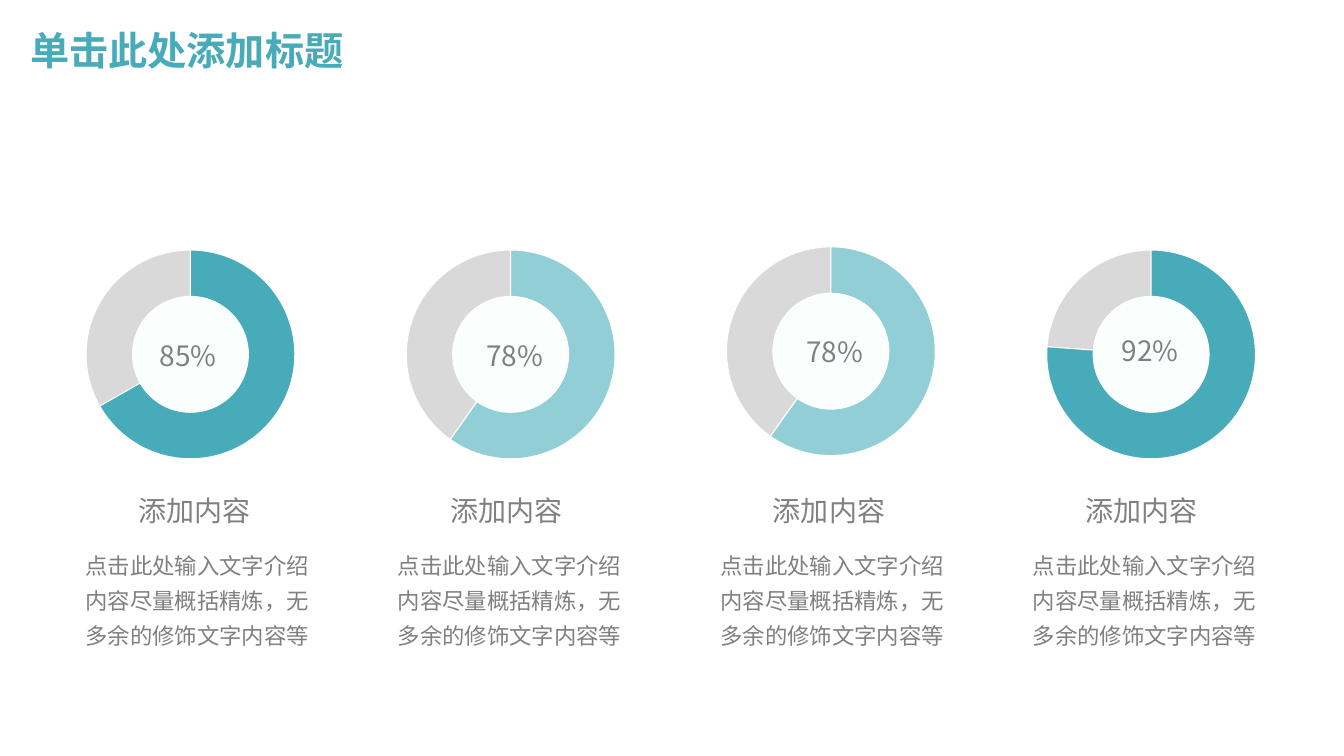
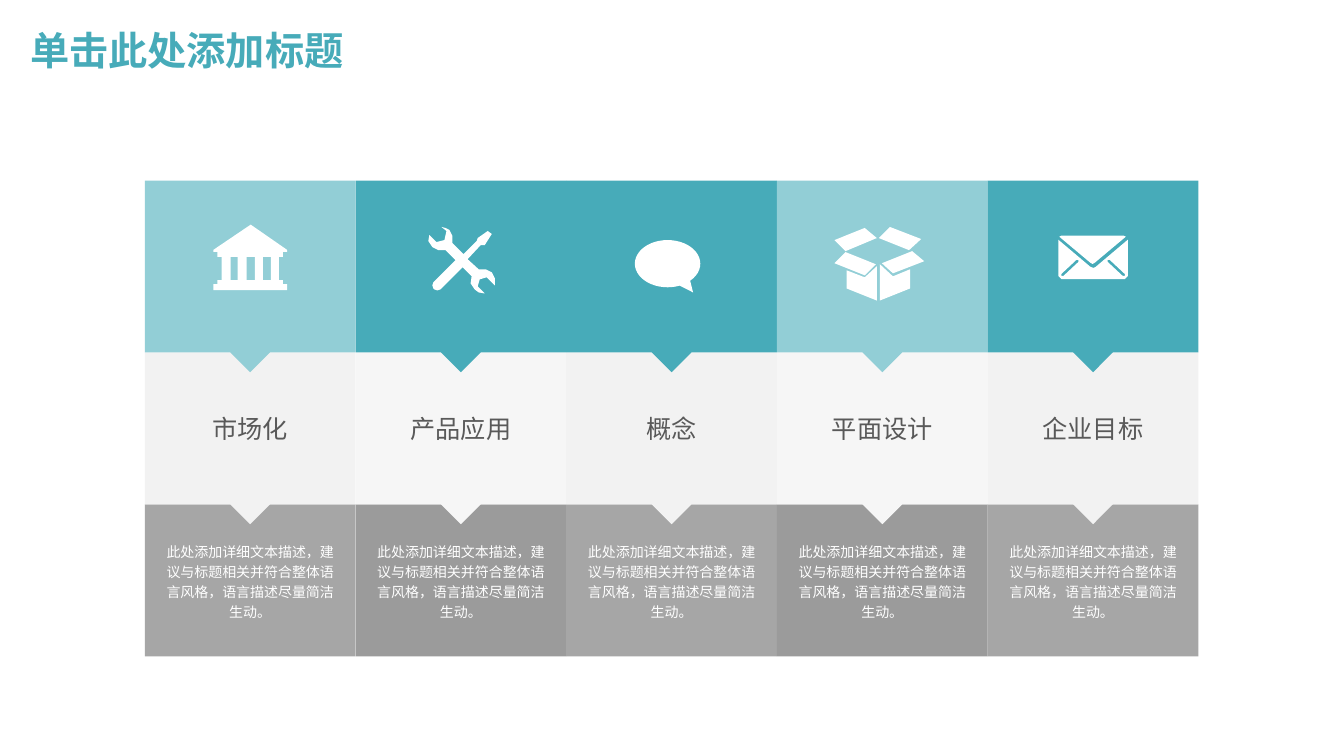
from dataclasses import dataclass

from lxml import etree
from pptx import Presentation
from pptx.dml.color import RGBColor
from pptx.enum.shapes import MSO_SHAPE
from pptx.enum.text import MSO_ANCHOR, MSO_AUTO_SIZE, PP_ALIGN
from pptx.oxml.ns import qn
from pptx.util import Cm, Pt

RECTANGLE, OVAL = MSO_SHAPE.RECTANGLE, MSO_SHAPE.OVAL
PIE, BUBBLE = MSO_SHAPE.PIE, MSO_SHAPE.OVAL_CALLOUT
MIDDLE = MSO_ANCHOR.MIDDLE
LEFT, CENTER = PP_ALIGN.LEFT, PP_ALIGN.CENTER
GROW, FIXED = MSO_AUTO_SIZE.SHAPE_TO_FIT_TEXT, MSO_AUTO_SIZE.NONE
ICON_UNIT = Cm(2.54) / 100
DEGREE = 0.6


@dataclass(frozen=True)
class Theme:
    teal: str = "47ABB9"
    aqua: str = "92CED6"
    white: str = "FFFFFF"
    hole: str = "FAFFFE"
    track: str = "D9D9D9"
    text: str = "808080"
    label: str = "595959"
    pale: str = "F2F2F2"
    paler: str = "F6F6F6"
    gray: str = "A6A6A6"
    dark: str = "9B9B9B"
    title_font: str = "Montserrat"
    body_font: str = "Noto Sans CJK SC"
    title_size: int = 28
    heading_size: int = 20
    label_size: int = 18
    body_size: int = 16
    small_size: int = 10


THEME = Theme()
TITLE = "单击此处添加标题"
HEADING = "添加内容"
INTRO = "点击此处输入文字介绍内容尽量概括精炼，无多余的修饰文字内容等"
DETAIL = "此处添加详细文本描述，建议与标题相关并符合整体语言风格，语言描述尽量简洁生动。"

RINGS = [
    ("85%", 240.3, THEME.teal, 6.3, (3.78, 8.41), 1.91),
    ("78%", 215.4, THEME.aqua, 6.3, (12.01, 8.41), 9.78),
    ("78%", 215.4, THEME.aqua, 6.22, (20.07, 8.31), 17.91),
    ("92%", 274.2, THEME.teal, 6.3, (28.02, 8.28), 25.78),
]
COLUMNS = [
    ("市场化", THEME.aqua),
    ("产品应用", THEME.teal),
    ("概念", THEME.teal),
    ("平面设计", THEME.aqua),
    ("企业目标", THEME.teal),
]
BANK = [
    [(69, 32), (69, 27), (73, 27), (73, 25), (37, 0), (0, 25), (0, 27),
     (4, 27), (4, 32), (8, 32), (8, 55), (4, 55), (4, 59), (0, 59), (0, 65),
     (73, 65), (73, 59), (69, 59), (69, 55), (65, 55), (65, 32)],
] + [
    [(left, 32), (left, 55), (right, 55), (right, 32)]
    for left, right in [(17, 24), (33, 41), (49, 57)]
]
TOOLS = [
    [(64, 45), (58, 42), (51, 42), (40, 32), (53, 18), (57, 18), (64, 7),
     (60, 4), (50, 11), (49, 14), (36, 27), (25, 16), (25, 9), (22, 3),
     (18, 1), (14, 0), (19, 4), (17, 13), (9, 15), (2, 8), (1, 14), (5, 20),
     (11, 23), (18, 23), (28, 33), (6, 55), (5, 58), (6, 61), (7, 62),
     (10, 63), (13, 62), (35, 40), (44, 49), (43, 56), (47, 62), (51, 65),
     (57, 66), (50, 59), (52, 52), (59, 50), (67, 58), (67, 51)],
]
CARTON = [
    [(42, 11), (30, 1), (0, 13), (11, 24)],
    [(45, 37), (45, 73), (75, 61), (75, 42), (58, 49)],
    [(47, 36), (58, 46), (89, 34), (77, 24)],
    [(86, 12), (55, 0), (44, 11), (74, 23)],
    [(12, 43), (12, 61), (42, 73), (42, 39), (30, 50)],
    [(41, 37), (11, 25), (0, 36), (30, 48)],
]
ENVELOPE = [
    [(65, 0), (3, 0), (1, 1), (32, 27), (34, 28), (36, 27), (67, 1)],
    [(37, 31), (35, 32), (32, 31), (0, 4), (0, 40), (3, 43), (66, 43),
     (69, 40), (69, 4)],
    [(20, 26), (5, 40), (3, 40), (3, 38), (18, 24), (20, 24)],
    [(66, 40), (64, 40), (49, 26), (49, 24), (51, 24), (66, 38)],
]
ICONS = [
    (5.38, 5.66, BANK),
    (10.77, 5.72, TOOLS),
    (21.03, 5.72, CARTON),
    (26.67, 5.94, ENVELOPE),
]


def assign(target, **values):
    for name, value in values.items():
        setattr(target, name, value)


class Builder:
    def __init__(self, theme):
        self.theme = theme
        self.deck = Presentation()
        assign(self.deck, slide_width=Cm(33.87), slide_height=Cm(19.05))
        self.slide = None

    def new_slide(self, title):
        self.slide = self.deck.slides.add_slide(self.deck.slide_layouts[5])
        box = self.slide.shapes.title
        assign(box, left=Cm(0.51), top=Cm(0.51), width=Cm(29.21), height=Cm(1.63))
        assign(box.text_frame, vertical_anchor=MIDDLE, auto_size=FIXED, word_wrap=True)
        self.add_words(box, title, self.theme.title_size, self.theme.teal,
                       font=self.theme.title_font, bold=True, spacing=0.9)

    def add_words(self, box, text, size, color, font=None, bold=False, align=LEFT,
                  spacing=1.0):
        para = box.text_frame.paragraphs[0]
        assign(para, alignment=align, line_spacing=spacing)
        span = para.add_run()
        span.text = text
        assign(span.font, size=Pt(size), bold=bold, name=font or self.theme.body_font)
        span.font.color.rgb = RGBColor.from_string(color)
        east_asian = etree.SubElement(span._r.get_or_add_rPr(), qn("a:ea"))
        east_asian.set("typeface", self.theme.body_font)

    def text(self, left, top, width, height, text, size, wrap=True, spacing=1.0):
        box = self.slide.shapes.add_textbox(Cm(left), Cm(top), Cm(width), Cm(height))
        assign(box.text_frame, word_wrap=wrap, auto_size=GROW)
        self.add_words(box, text, size, self.theme.text, spacing=spacing)

    def paint(self, shape, fill, line=None):
        shape.shadow.inherit = False
        shape.fill.solid()
        shape.fill.fore_color.rgb = RGBColor.from_string(fill)
        if line:
            shape.line.color.rgb = RGBColor.from_string(line)
            shape.line.width = Pt(0.75)
        else:
            shape.line.fill.background()

    def shape(self, kind, left, top, width, height, fill, line=None, rotation=0, adjust=()):
        shape = self.slide.shapes.add_shape(kind, Cm(left), Cm(top), Cm(width), Cm(height))
        self.paint(shape, fill, line)
        shape.rotation = rotation
        for index, value in enumerate(adjust):
            shape.adjustments[index] = value
        return shape

    def ring(self, left, top, angle, color):
        size, hole = 5.26, 2.92
        inset = (size - hole) / 2
        end = angle * DEGREE
        for fill, adjust in [(self.theme.track, (end, 0)), (color, (0, end))]:
            self.shape(PIE, left, top, size, size, fill, self.theme.white, 270, adjust)
        self.shape(OVAL, left + inset, top + inset, hole, hole,
                   self.theme.hole, self.theme.white)

    def panel(self, left, top, width, height, fill, text=None, size=None, color=None,
              padding=0.25, spacing=1.0):
        panel = self.shape(RECTANGLE, left, top, width, height, fill)
        if text:
            assign(panel.text_frame, vertical_anchor=MIDDLE, word_wrap=True,
                   margin_left=Cm(padding), margin_right=Cm(padding))
            self.add_words(panel, text, size, color, align=CENTER, spacing=spacing)

    def pointer(self, center, middle, fill):
        side = 0.71
        self.shape(RECTANGLE, center - side / 2, middle - side / 2, side, side,
                   fill, rotation=45)

    def icon(self, left, top, outlines):
        outline = self.slide.shapes.build_freeform(*outlines[0][0], scale=ICON_UNIT)
        for index, points in enumerate(outlines):
            if index:
                outline.move_to(*points[0])
            outline.add_line_segments(points[1:], close=True)
        self.paint(outline.convert_to_shape(Cm(left), Cm(top)), self.theme.white)


def add_rings(builder):
    theme = builder.theme
    builder.new_slide(TITLE)
    for index, (value, angle, color, top, label, left) in enumerate(RINGS):
        builder.ring(2.17 + 8.07 * index, top, angle, color)
        builder.text(*label, 2.15, 1.12, value, theme.heading_size)
        builder.text(left + 1.32, 12.32, 3.35, 1.12, HEADING, theme.heading_size, wrap=False)
        builder.text(left, 13.59, 6.4, 2.92, INTRO, theme.body_size, spacing=1.3)


def add_columns(builder):
    theme = builder.theme
    width, icon_height, row_height = 5.31, 4.33, 3.83
    icon_top = 4.55
    label_top = icon_top + icon_height
    detail_top = label_top + row_height
    builder.new_slide(TITLE)
    for index, (label, color) in enumerate(COLUMNS):
        left = 3.65 + width * index
        center = left + width / 2
        pale, gray = [(theme.pale, theme.gray), (theme.paler, theme.dark)][index % 2]
        builder.panel(left, detail_top, width, row_height, gray, DETAIL,
                      theme.small_size, theme.white, padding=0.5, spacing=1.2)
        builder.panel(left, label_top, width, row_height, pale, label,
                      theme.label_size, theme.label)
        builder.pointer(center, detail_top, pale)
        builder.panel(left, icon_top, width, icon_height, color)
        builder.pointer(center, label_top, color)
    for left, top, outlines in ICONS:
        builder.icon(left, top, outlines)
    builder.shape(BUBBLE, 16, 6.05, 1.65, 1.19, theme.white, adjust=(0.39, 0.61))


def main():
    builder = Builder(THEME)
    add_rings(builder)
    add_columns(builder)
    builder.deck.save("out.pptx")


if __name__ == "__main__":
    main()
